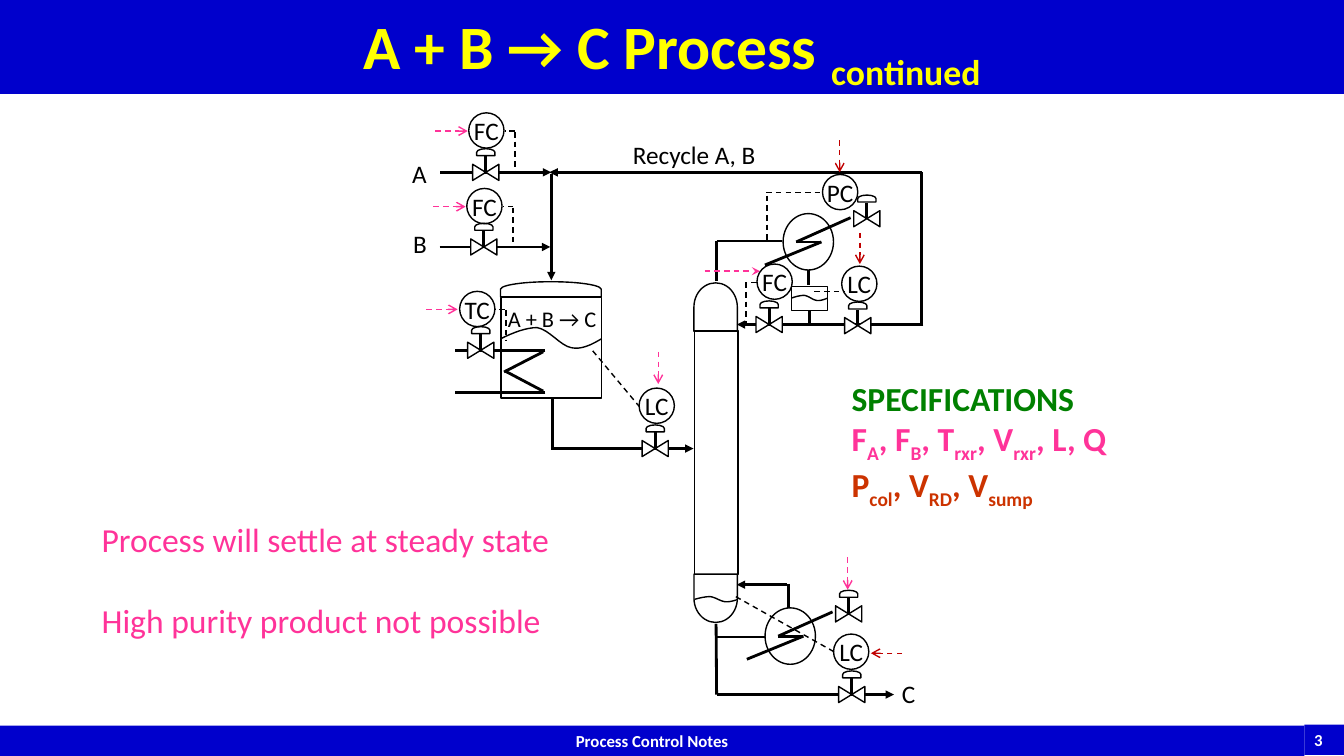
from lxml import etree
from pptx import Presentation
from pptx.dml.color import RGBColor
from pptx.enum.dml import MSO_LINE
from pptx.enum.shapes import MSO_CONNECTOR, MSO_SHAPE
from pptx.enum.text import MSO_ANCHOR, MSO_AUTO_SIZE, PP_ALIGN
from pptx.oxml.ns import qn
from pptx.util import Pt

RECT, OVAL = MSO_SHAPE.RECTANGLE, MSO_SHAPE.OVAL
DELAY, VALVE = MSO_SHAPE.FLOWCHART_DELAY, MSO_SHAPE.FLOWCHART_COLLATE
LEFT, MID = PP_ALIGN.LEFT, PP_ALIGN.CENTER
FONT = "Calibri"
HEX = {"black": "000000", "white": "FFFFFF", "blue": "0000CC", "yellow": "FFFF00",
       "pink": "FF3399", "red": "C00000", "green": "008000", "rust": "CC3300"}

TITLE = [("A + B → C Process ", 0), ("continued", 1)]
FOOT = [("Process Control Notes", MID, 0, 518.4, 931.7), ("3", LEFT, 931.7, 517.7, 28.8)]
NOTES = ["Process will settle at steady state", "High purity product not possible"]
SPECS = [
    ("green", [("SPECIFICATIONS", 0)]),
    ("pink", [("F", 0), ("A", 1), (", F", 0), ("B", 1), (", T", 0), ("rxr", 1),
              (", V", 0), ("rxr", 1), (", L, Q", 0)]),
    ("rust", [("P", 0), ("col", 1), (", V", 0), ("RD", 1), (", V", 0), ("sump", 1)]),
]
LABELS = [
    ("A", 287.3, 109.4, 25.2, 18), ("B", 288, 159.8, 24.5, 18),
    ("C", 637.2, 481, 24.5, 18), ("Recycle A, B", 445, 95.8, 103, 18),
    ("A + B → C", 355.7, 214.6, 78.5, 16),
]
PIPES = [
    (389.5, 250.6, 324.7, 250.6), (389.5, 280.1, 324.7, 280.1),
    (388, 279.4, 360.7, 265), (388, 251.3, 360, 265.7),
    (394.6, 320.4, 394.6, 284.4), (511.9, 200.9, 511.9, 172.1),
    (511.9, 172.1, 558.7, 172.1), (577.4, 193, 577.4, 203.8),
    (578.2, 221.8, 578.2, 232.6), (511.5, 445.7, 511.9, 496.1),
    (511.9, 455, 546.5, 455), (563, 416.9, 563, 434.2),
    (658.1, 231.1, 658.1, 123.1),
]
FLOWS = [
    (314, 176.4, 393.1, 176.4), (393.8, 320.4, 495.4, 320.4),
    (393.8, 124.6, 393.8, 200.2), (659.5, 231.8, 526.3, 231.8),
    (511.9, 496.1, 638.6, 496.1), (562.3, 417.6, 526.3, 417.6),
    (314.6, 123.1, 393.8, 123.1), (658.8, 123.1, 392.4, 123.1),
]
SIGNALS = [
    (581.8, 208.1, 603.4, 208.1), (525.6, 426.2, 596.2, 465.8),
    (423.4, 250.6, 456.5, 290.2), (547.2, 137.5, 586.1, 137.5),
    (547.9, 139.7, 547.9, 172.8), (360.7, 221, 353.5, 221),
    (361.4, 221.8, 361.4, 243.4), (366.5, 147.6, 359.3, 147.6),
    (366.5, 148.3, 366.5, 177.1), (367.9, 93.6, 360.7, 93.6),
    (367.9, 94.3, 367.9, 123.1), (540.7, 201.6, 532.8, 201.6),
    (532.8, 201.6, 532.8, 230.4),
]
INPUTS = [
    ("red", "arrow", 614.2, 166.3, 614.2, 188.6), ("red", "arrow", 644.4, 466.6, 622.1, 466.6),
    ("red", "arrow", 599.8, 100.1, 599.8, 123.1), ("pink", "arrow", 470.2, 251.3, 470.2, 274.3),
    ("pink", "arrow", 304.6, 221, 326.9, 221), ("pink", "arrow", 309.6, 147.6, 332.6, 147.6),
    ("pink", "arrow", 605.5, 398.2, 605.5, 421.2), ("pink", "arrow", 311, 93.6, 334.1, 93.6),
    ("pink", "stealth", 503.3, 193.7, 542.9, 193.7),
]
VESSELS = [
    (RECT, 357.8, 212.4, 72, 72, 0), (DELAY, 388.1, 170.6, 10.8, 72, 270),
    (RECT, 496.1, 236.2, 31, 174.2, 0), (DELAY, 493.9, 203.8, 34.6, 31, 270),
    (DELAY, 493.9, 411.8, 34.6, 31, 90), (RECT, 565.2, 204.5, 25.9, 17.3, 0),
]
LEVELS = [(357.8, 234, 72, 14.4), (565.2, 211, 25.9, 3.6), (496.1, 426.2, 31, 3.6)]
WAVE = [(0, .55), (.12, .25), (.25, 0), (.36, 0), (.48, .1),
        (.59, .9), (.7, 1), (.8, 1.1), (.9, .85), (1, .55)]
HEATERS = [(559.4, 152.6), (546.5, 434.2)]
ZIGZAG = [(48.2, 2.9, 9.4, 20.2), (27.4, 20.2, 9.4, 20.2), (27.4, 20.2, -13, 36.7)]
VALVES = [(343.4, 250.2), (345.6, 176.4), (468, 320.4), (619.2, 156.2), (612.7, 232.6),
          (549.4, 231.8), (608.4, 496.1), (606.2, 438.5), (347, 123.1)]
LOOPS = [("LC", 613.8, 202.7), ("LC", 608, 465.5), ("LC", 469.1, 289.8), ("PC", 600.1, 137.2),
         ("TC", 340.9, 220.7), ("FC", 346, 147.2), ("FC", 347.4, 93.2), ("FC", 553.3, 201.2)]

deck = Presentation()
deck.slide_width, deck.slide_height = Pt(960), Pt(540)
slide = deck.slides.add_slide(deck.slide_layouts[5])
shapes = slide.shapes


def tone(name):
    return RGBColor.from_string(HEX[name])


def write(par, runs, size, hue="black", bold=False, align=LEFT):
    par.alignment = align
    for text, sub in runs:
        run = par.add_run()
        run.text = text
        font = run.font
        font.name, font.size, font.bold = FONT, Pt(size), bold
        font.color.rgb = tone(hue)
        if sub:
            run._r.get_or_add_rPr().set("baseline", "-25000")


def style(item, fill=None, line="black"):
    item.shadow.inherit = False
    if fill:
        item.fill.solid()
        item.fill.fore_color.rgb = tone(fill)
    else:
        item.fill.background()
    if line:
        item.line.color.rgb = tone(line)
        item.line.width = Pt(1)
    else:
        item.line.fill.background()


def shape(kind, x, y, w, h, turn=0, fill=None, line="black"):
    item = shapes.add_shape(kind, Pt(x), Pt(y), Pt(w), Pt(h))
    item.rotation = turn
    style(item, fill, line)
    return item


def centre(kind, x, y, w, h, turn=0, fill=None):
    return shape(kind, x - w / 2, y - h / 2, w, h, turn, fill)


def link(x1, y1, x2, y2, width=2, hue="black", tip=None, dash=False):
    item = shapes.add_connector(MSO_CONNECTOR.STRAIGHT, Pt(x1), Pt(y1), Pt(x2), Pt(y2))
    item.line.color.rgb = tone(hue)
    item.line.width = Pt(width)
    if dash:
        item.line.dash_style = MSO_LINE.DASH
    props = item._element.spPr
    if tip:
        etree.SubElement(props.find(qn("a:ln")), qn("a:tailEnd")).set("type", tip)
    etree.SubElement(props, qn("a:effectLst"))


def box(x, y, w, h):
    frame = shapes.add_textbox(Pt(x), Pt(y), Pt(w), Pt(h)).text_frame
    frame.word_wrap = False
    return frame


def bend(a, b, c, d, t):
    s = 1 - t
    return s**3 * a + 3 * s * s * t * b + 3 * s * t * t * c + t**3 * d


def wave(x, y, w, h):
    dots = []
    for k in (0, 3, 6):
        xs, ys = zip(*WAVE[k:k + 4])
        for n in range(1, 9):
            dots.append((Pt(x + w * bend(*xs, n / 8)), Pt(y + h * bend(*ys, n / 8))))
    path = shapes.build_freeform(Pt(x), Pt(y + h * WAVE[0][1]))
    path.add_line_segments(dots, close=False)
    style(path.convert_to_shape())


head = shapes.title
head.left, head.top, head.width, head.height = Pt(0), Pt(0), Pt(960), Pt(67)
head.fill.solid()
head.fill.fore_color.rgb = tone("blue")
frame = head.text_frame
frame.auto_size, frame.vertical_anchor = MSO_AUTO_SIZE.NONE, MSO_ANCHOR.MIDDLE
frame.paragraphs[0].line_spacing = 0.9
write(frame.paragraphs[0], TITLE, 44, "yellow", True, MID)

for text, align, x, y, w in FOOT:
    frame = shape(RECT, x, y, w, 21.6, 0, "blue", None).text_frame
    frame.word_wrap = align == MID
    write(frame.paragraphs[0], [(text, 0)], 12, "white", True, align)

for part in VESSELS:
    shape(*part)
for level in LEVELS:
    wave(*level)
for pipe in PIPES:
    link(*pipe)
for flow in FLOWS:
    link(*flow, tip="triangle")
for x, y in HEATERS:
    shape(OVAL, x, y, 36, 40.3)
    for x1, y1, x2, y2 in ZIGZAG:
        link(x + x1, y + y1, x + x2, y + y2)
for text, x, y, w, size in LABELS:
    write(box(x, y, w, 28.8).paragraphs[0], [(text, 0)], size)
for x, y in VALVES:
    link(x, y, x, y - 11.5)
    centre(VALVE, x, y, 11.5, 18.7, 270, "white")
    centre(DELAY, x, y - 14.4, 5, 13, 270)
for signal in SIGNALS:
    link(*signal, width=1, dash=True)
for hue, tip, *ends in INPUTS:
    link(*ends, width=1, hue=hue, tip=tip, dash=True)
for text, x, y in LOOPS:
    frame = centre(OVAL, x, y, 25.2, 25.2).text_frame
    frame.word_wrap = False
    frame.margin_left = frame.margin_right = frame.margin_top = frame.margin_bottom = 0
    write(frame.paragraphs[0], [(text, 0)], 18, align=MID)

frame = box(65.5, 367.2, 337.7, 94.3)
for n, text in enumerate(NOTES):
    par = frame.add_paragraph() if n else frame.paragraphs[0]
    par.space_before = Pt(28.8 * n)
    write(par, [(text, 0)], 24, "pink")
frame = box(601.2, 266.4, 200.2, 94.3)
for n, (hue, runs) in enumerate(SPECS):
    par = frame.add_paragraph() if n else frame.paragraphs[0]
    write(par, runs, 24, hue, True)

deck.save("out.pptx")
